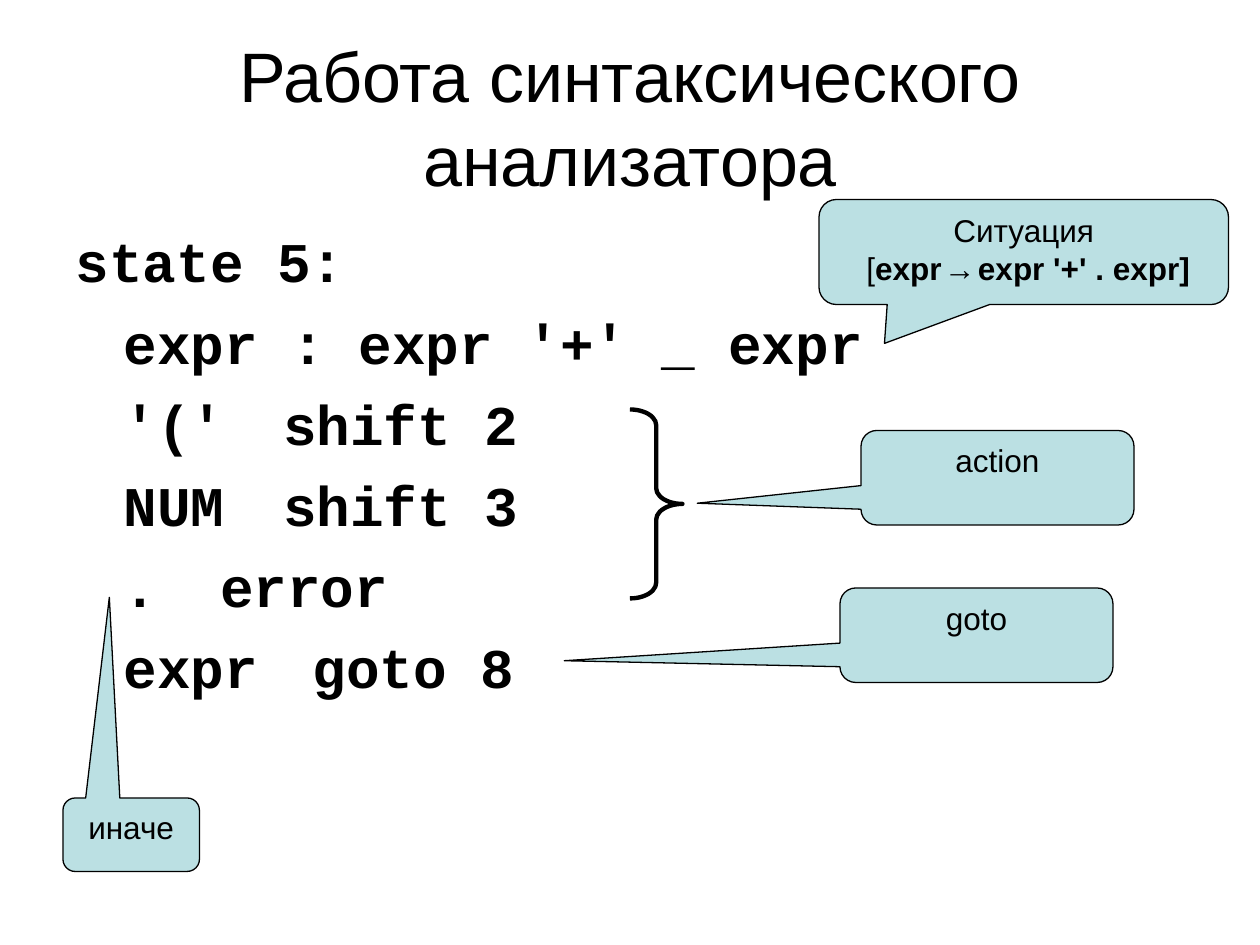
from dataclasses import dataclass

from lxml.etree import SubElement
from pptx import Presentation
from pptx.dml.color import RGBColor
from pptx.enum.shapes import MSO_SHAPE
from pptx.enum.text import MSO_ANCHOR, MSO_AUTO_SIZE, PP_ALIGN
from pptx.oxml.ns import qn
from pptx.util import Inches, Pt

COLORS = {"ink": "000000", "callout": "BBE0E3"}
UNIT = 1 / 12  # grid step in inches: the slide is 120 columns by 90 rows

TITLE_FONT = {"name": "Arial", "size": Pt(40), "bold": False}
CODE_FONT = {"name": "Courier New", "size": Pt(32), "bold": True}
NOTE_FONT = {"name": "Arial", "size": Pt(18), "bold": False}
NOTE_BOLD = {**NOTE_FONT, "bold": True}
ARROW_FONT = {**NOTE_BOLD, "name": "Courier New"}


@dataclass
class Box:
    col: float
    row: float
    cols: float
    rows: float

    def emu(self) -> list:
        return [Inches(n * UNIT) for n in (self.col, self.row, self.cols, self.rows)]


@dataclass
class Callout:
    box: Box
    tip: tuple  # pointer end, as shares of the box from its centre
    lines: list  # each line is a list of (text, font) pairs


STATE_LINES = [
    "state 5:",
    "\texpr : expr '+' _ expr",
    "\t'('\t shift 2",
    "\tNUM\t shift 3",
    "\t.\t error",
    "\texpr\tgoto 8",
]
CALLOUTS = [
    Callout(Box(78, 19, 39, 10), (-0.34, 0.87), [
        [("Ситуация", NOTE_FONT)],
        [(" [", NOTE_FONT), ("expr ", NOTE_BOLD), ("→", ARROW_FONT),
         (" expr '+' . expr]", NOTE_BOLD)],
    ]),
    Callout(Box(82, 41, 26, 9), (-1.1, 0.27), [[("action", NOTE_FONT)]]),
    Callout(Box(80, 56, 26, 9), (-1.51, 0.27), [[("goto", NOTE_FONT)]]),
    Callout(Box(6, 76, 13, 7), (-0.16, -3.23), [[("иначе", NOTE_FONT)]]),
]


def color(name: str) -> RGBColor:
    return RGBColor.from_string(COLORS[name])


def place(sp, box: Box) -> None:
    for name, value in zip(("left", "top", "width", "height"), box.emu()):
        setattr(sp, name, value)


def set_frame(tf, anchor) -> None:
    values = {"word_wrap": True, "auto_size": MSO_AUTO_SIZE.NONE, "vertical_anchor": anchor}
    for name, value in values.items():
        setattr(tf, name, value)


def add_text(p, text: str, font: dict) -> None:
    r = p.add_run()
    r.text = text
    for name, value in font.items():
        setattr(r.font, name, value)
    r.font.color.rgb = color("ink")


def add_outlined(s, kind, box: Box, width: float):
    sp = s.shapes.add_shape(kind, *box.emu())
    sp.shadow.inherit = False
    sp.line.color.rgb = color("ink")
    sp.line.width = Pt(width)
    return sp


def add_callout(s, callout: Callout) -> None:
    sp = add_outlined(s, MSO_SHAPE.ROUNDED_RECTANGULAR_CALLOUT, callout.box, 0.75)
    sp.fill.solid()
    sp.fill.fore_color.rgb = color("callout")
    sp.adjustments[0], sp.adjustments[1] = callout.tip
    set_frame(sp.text_frame, MSO_ANCHOR.TOP)
    p = sp.text_frame.paragraphs[0]
    p.alignment = PP_ALIGN.CENTER
    for i, line in enumerate(callout.lines):
        if i:
            p.add_line_break()
        for text, font in line:
            add_text(p, text, font)


def add_brace(s, box: Box) -> None:
    sp = add_outlined(s, MSO_SHAPE.RIGHT_BRACE, box, 2.5)
    sp.fill.background()
    sp.adjustments[0] = 0.3


def fill_title(sp, text: str) -> None:
    place(sp, Box(6, 3.6, 108, 15))
    set_frame(sp.text_frame, MSO_ANCHOR.MIDDLE)
    p = sp.text_frame.paragraphs[0]
    p.alignment = PP_ALIGN.CENTER
    add_text(p, text, TITLE_FONT)


def fill_code(sp, lines: list) -> None:
    place(sp, Box(6, 21, 80, 50))
    tf = sp.text_frame
    set_frame(tf, MSO_ANCHOR.TOP)
    for i, line in enumerate(lines):
        p = tf.add_paragraph() if i else tf.paragraphs[0]
        p.space_before = Pt(8)
        # Hanging indent without a bullet
        pPr = p._p.get_or_add_pPr()
        pPr.set("marL", str(Inches(0.38)))
        pPr.set("indent", str(-Inches(0.38)))
        SubElement(pPr, qn("a:buNone"))
        add_text(p, line, CODE_FONT)


def main() -> None:
    prs = Presentation()
    prs.slide_width, prs.slide_height = Inches(120 * UNIT), Inches(90 * UNIT)
    s = prs.slides.add_slide(prs.slide_layouts[1])

    # Title and parser state listing
    fill_title(s.shapes.title, "Работа синтаксического анализатора")
    fill_code(s.placeholders[1], STATE_LINES)

    # Explanations, with the brace over the shift lines
    for callout in CALLOUTS[:3]:
        add_callout(s, callout)
    add_brace(s, Box(60, 39, 5, 18))
    add_callout(s, CALLOUTS[3])

    prs.save("out.pptx")


if __name__ == "__main__":
    main()
